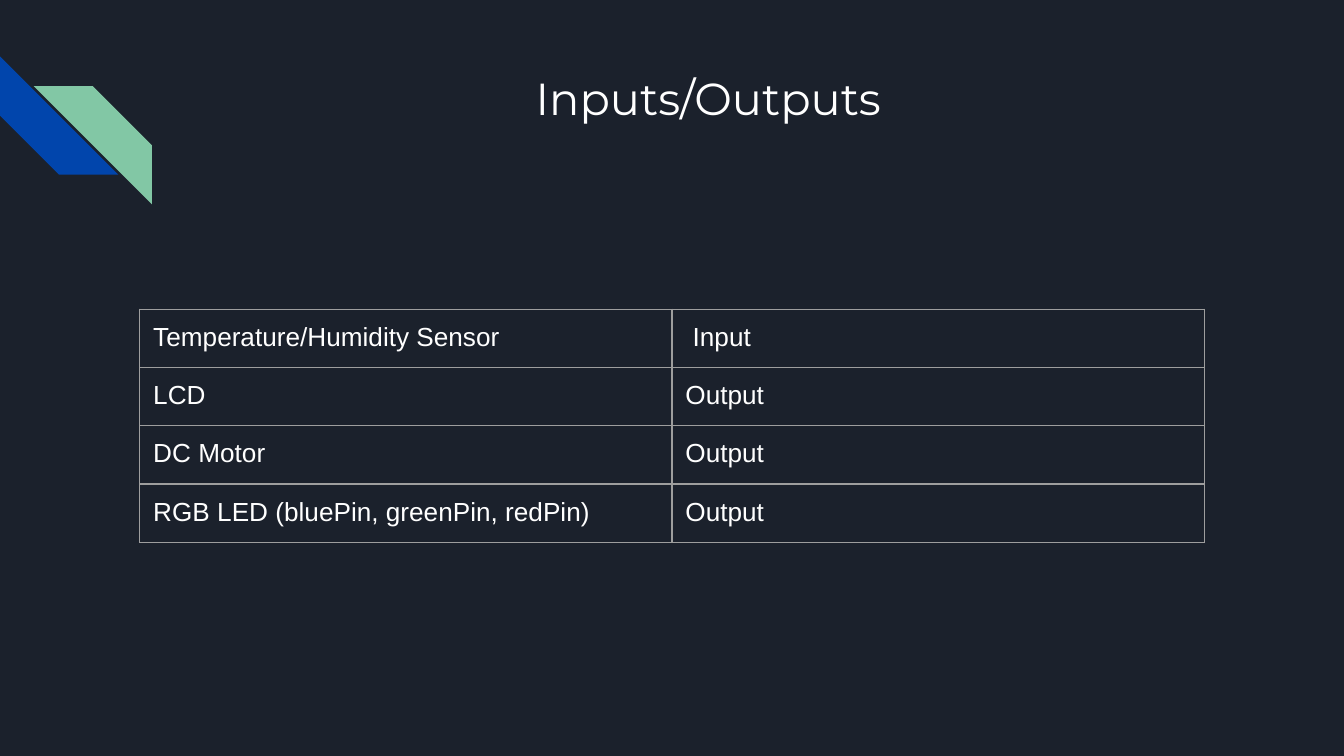
from dataclasses import dataclass

from lxml.etree import SubElement
from pptx import Presentation
from pptx.dml.color import RGBColor
from pptx.enum.shapes import MSO_SHAPE
from pptx.enum.text import MSO_ANCHOR, PP_ALIGN
from pptx.oxml.ns import qn
from pptx.slide import Slide
from pptx.table import _Cell
from pptx.text.text import Font
from pptx.util import Inches, Pt


@dataclass(frozen=True)
class Theme:
    background: str = "1B212C"
    blue: str = "0145AC"
    green: str = "82C7A5"
    text: str = "FFFFFF"
    border: str = "9E9E9E"
    border_width: float = 0.75
    heading_font: str = "Montserrat"
    heading_size: int = 24
    body_font: str = "Arial"
    body_size: int = 14
    inset: float = 0.1


@dataclass(frozen=True)
class Stripe:
    left: float
    top: float
    rotation: int
    color: str


@dataclass(frozen=True)
class Component:
    name: str
    direction: str


THEME = Theme()
STRIPE_SIZE = 0.88
COLUMN_WIDTH, ROW_HEIGHT = 3.96, 0.42
STRIPES = [Stripe(0, 0.42, 270, THEME.blue), Stripe(0.25, 0.64, 90, THEME.green)]
COMPONENTS = [
    Component("Temperature/Humidity Sensor", " Input"),
    Component("LCD", "Output"),
    Component("DC Motor", "Output"),
    Component("RGB LED (bluePin, greenPin, redPin)", "Output"),
]


def rgb(color: str) -> RGBColor:
    return RGBColor.from_string(color)


def draw_stripe(slide: Slide, stripe: Stripe) -> None:
    band = slide.shapes.add_shape(
        MSO_SHAPE.DIAGONAL_STRIPE, Inches(stripe.left), Inches(stripe.top),
        Inches(STRIPE_SIZE), Inches(STRIPE_SIZE))
    band.rotation = stripe.rotation
    band.shadow.inherit = False
    band.fill.solid()
    band.fill.fore_color.rgb = rgb(stripe.color)
    band.line.fill.background()


def style_font(font: Font, name: str, size: int) -> None:
    font.name = name
    font.size = Pt(size)
    font.color.rgb = rgb(THEME.text)


def set_insets(holder) -> None:
    holder.margin_left = holder.margin_right = Inches(THEME.inset)
    holder.margin_top = holder.margin_bottom = Inches(THEME.inset)


def draw_heading(slide: Slide, text: str) -> None:
    heading = slide.shapes.add_textbox(
        Inches(1.42), Inches(0.43), Inches(7.7), Inches(1)).text_frame
    heading.word_wrap = True
    heading.vertical_anchor = MSO_ANCHOR.TOP
    set_insets(heading)
    heading.text = text
    heading.paragraphs[0].alignment = PP_ALIGN.CENTER
    style_font(heading.paragraphs[0].font, THEME.heading_font, THEME.heading_size)


def add_borders(cell: _Cell) -> None:
    properties = cell._tc.get_or_add_tcPr()
    for side in ("a:lnL", "a:lnR", "a:lnT", "a:lnB"):
        border = SubElement(properties, qn(side), w=str(Pt(THEME.border_width)))
        fill = SubElement(border, qn("a:solidFill"))
        SubElement(fill, qn("a:srgbClr"), val=THEME.border)


def fill_cell(cell: _Cell, text: str) -> None:
    cell.text = text
    set_insets(cell)
    paragraph = cell.text_frame.paragraphs[0]
    # The paragraph end carries the same font, so it cannot stretch the row
    paragraph_end = SubElement(paragraph._p, qn("a:endParaRPr"))
    for font in (paragraph.runs[0].font, Font(paragraph_end)):
        style_font(font, THEME.body_font, THEME.body_size)
    add_borders(cell)
    cell.fill.background()


def draw_components(slide: Slide, components: list[Component]) -> None:
    table = slide.shapes.add_table(
        len(components), 2, Inches(1.04), Inches(2.3),
        Inches(2 * COLUMN_WIDTH), Inches(len(components) * ROW_HEIGHT)).table
    table.first_row = table.horz_banding = False
    for row, component in enumerate(components):
        for column, text in enumerate((component.name, component.direction)):
            fill_cell(table.cell(row, column), text)


# Widescreen slide, 16:9
presentation = Presentation()
presentation.slide_width = Inches(10)
presentation.slide_height = Inches(10 * 9 / 16)
slide = presentation.slides.add_slide(presentation.slide_layouts[6])

# Background and corner stripes
slide.background.fill.solid()
slide.background.fill.fore_color.rgb = rgb(THEME.background)
for stripe in STRIPES:
    draw_stripe(slide, stripe)

# Heading and component table
draw_heading(slide, "Inputs/Outputs")
draw_components(slide, COMPONENTS)

presentation.save("out.pptx")
